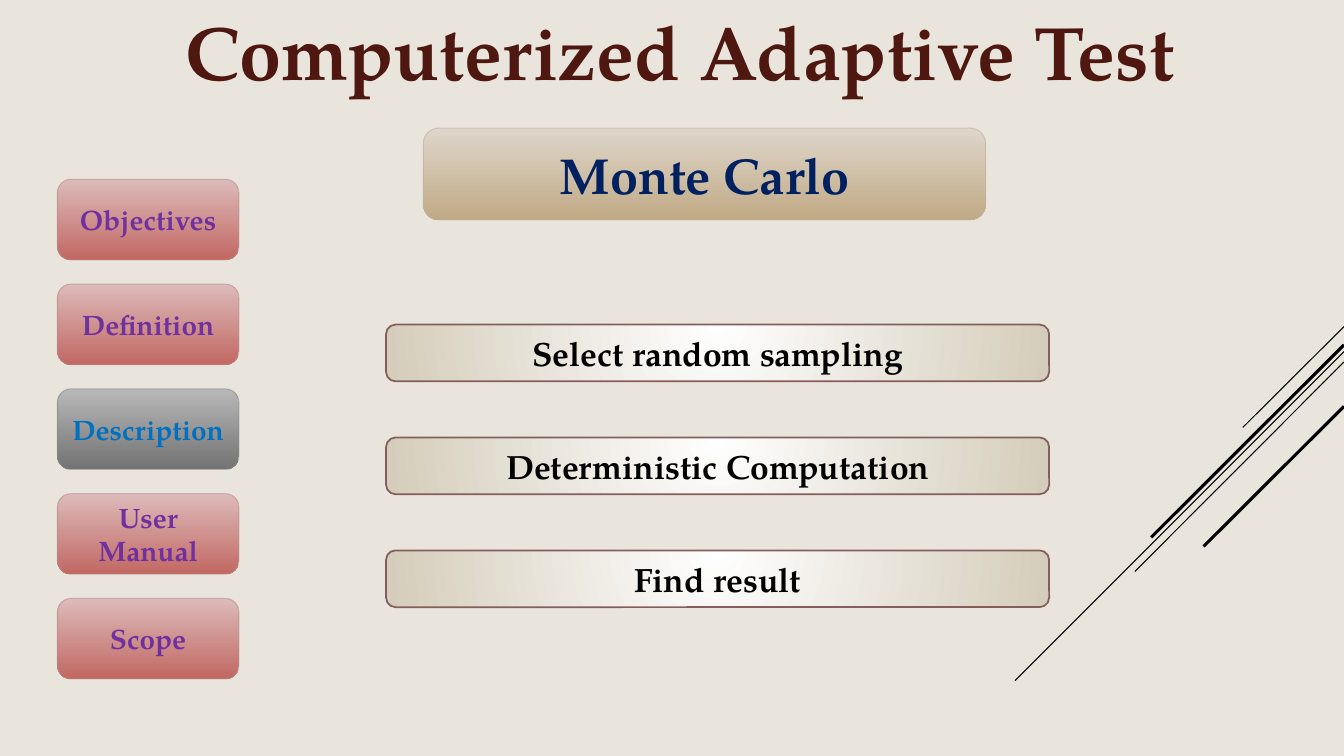
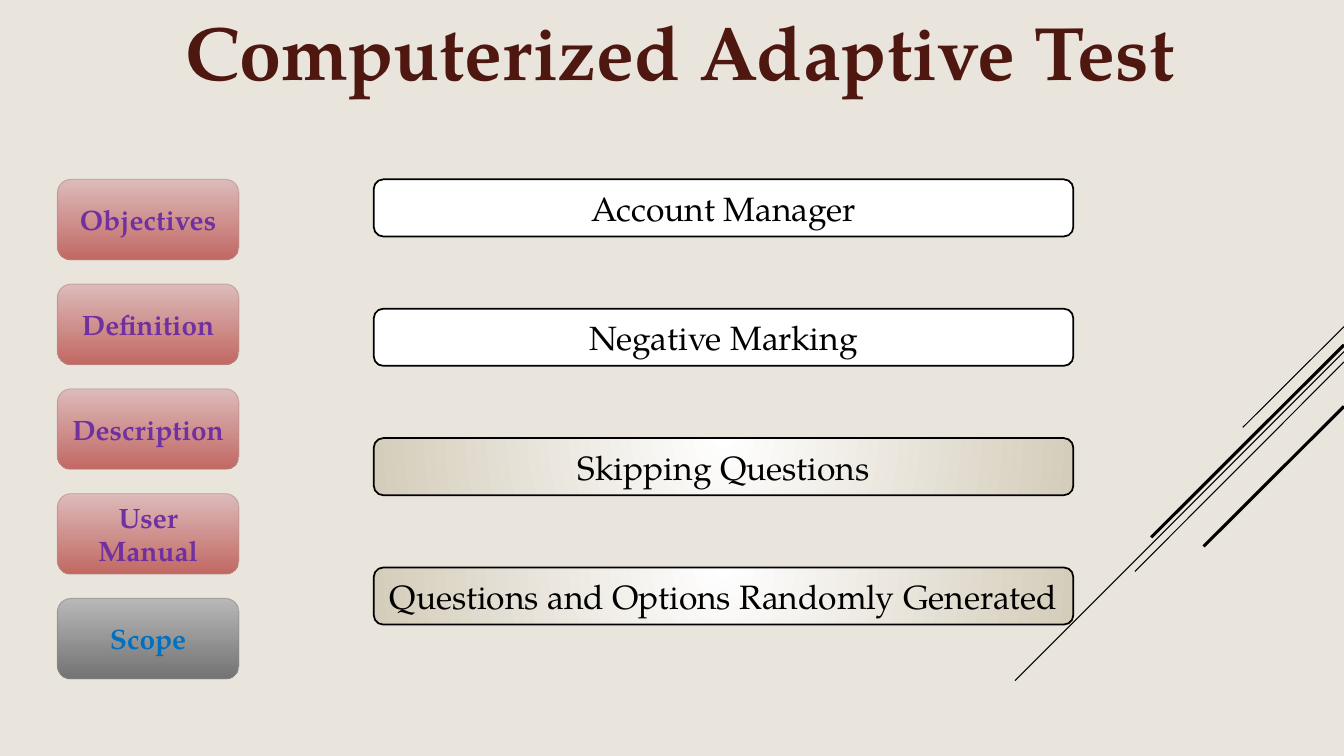
from lxml.etree import SubElement
from pptx import Presentation
from pptx.enum.shapes import MSO_CONNECTOR, MSO_SHAPE
from pptx.enum.text import MSO_ANCHOR, PP_ALIGN
from pptx.dml.color import RGBColor
from pptx.oxml.ns import qn
from pptx.util import Cm, Pt

FONT = "TeX Gyre Pagella"
SLIDE_WIDTH = 33.87
BLACK = "000000"
MENU = ["Objectives", "Definition", "Description", "User Manual", "Scope"]
MENU_TOP, MENU_STEP = 4.52, 2.64
RAYS = [
    (8.23, 31.32, 10.77, 0.75),
    (8.86, 25.58, 17.15, 0.75),
    (9.12, 28.60, 14.40, 0.75),
    (8.69, 29.01, 13.54, 2.25),
    (10.24, 30.33, 13.77, 2.25),
]

# Style: fill colours, radial, outline, outline width, translucent outline, text size, text colour, bold
STYLES = {
    "menu": (["DCBBBA", "C26863"], False, "BA8C8B", 0.75, True, 20, "7030A0", True),
    "current": (["B8B8B8", "737373"], False, "898989", 0.75, True, 20, "0070C0", True),
    "heading": (["DFD6CA", "C0AA86"], False, "BEB1A0", 0.75, True, 36, "002060", True),
    "step": (["FFFFFF", "D5CDBB"], True, "855D5D", 1.25, False, 24, BLACK, True),
    "plain": (["FFFFFF"], False, BLACK, 1.25, False, 24, BLACK, False),
    "shaded": (["FFFFFF", "D5CDBB"], True, BLACK, 1.25, False, 24, BLACK, False),
}

STEPS = ["Select random sampling", "Deterministic Computation", "Find result"]
FEATURES = [
    ("Account Manager", "plain"),
    ("Negative Marking", "plain"),
    ("Skipping Questions", "shaded"),
    ("Questions and Options Randomly Generated", "shaded"),
]
PAGES = [
    ("Description",
     [("Monte Carlo", "heading", 10.67, 3.23, 14.17, 2.31)]
     + [(text, "step", 9.73, 8.18 + 2.845 * row, 16.71, 1.43)
        for row, text in enumerate(STEPS)]),
    ("Scope",
     [(text, style, 9.42, 4.52 + 3.26 * row, 17.63, 1.44)
      for row, (text, style) in enumerate(FEATURES)]),
]


def paint(fill, *colours):
    if len(colours) == 1:
        fill.solid()
        fill.fore_color.rgb = RGBColor.from_string(colours[0])
        return
    fill.gradient()
    fill.gradient_angle = 270
    for stop, position, colour in zip(fill.gradient_stops, (0, 1), colours):
        stop.position = position
        stop.color.rgb = RGBColor.from_string(colour)


def write(frame, text, size, colour, bold):
    frame.word_wrap = True
    para = frame.paragraphs[0]
    span = para.add_run()
    span.text = text
    span.font.name = FONT
    span.font.size = Pt(size)
    span.font.bold = bold
    paint(span.font.fill, colour)
    return para


deck = Presentation()
deck.slide_width, deck.slide_height = Cm(SLIDE_WIDTH), Cm(19.05)
paint(deck.slide_master.background.fill, "E9E5DC")

for current, content in PAGES:
    page = deck.slides.add_slide(deck.slide_layouts[6])

    for start_y, end_x, end_y, width in RAYS:
        ray = page.shapes.add_connector(
            MSO_CONNECTOR.STRAIGHT, Cm(SLIDE_WIDTH), Cm(start_y), Cm(end_x), Cm(end_y))
        ray.line.width = Pt(width)
        paint(ray.line.fill, BLACK)
        SubElement(ray._element.spPr, qn("a:effectLst"))

    title = page.shapes.add_textbox(Cm(4.42), Cm(0), Cm(29.44), Cm(2.57))
    write(title.text_frame, "Computerized Adaptive Test", 54, "4E1710", True)

    menu = [(text, "current" if text == current else "menu",
             1.45, MENU_TOP + MENU_STEP * row, 4.57, 2.03)
            for row, text in enumerate(MENU)]

    for text, style, left, top, width, height in menu + content:
        colours, radial, outline, weight, translucent, size, ink, bold = STYLES[style]
        box = page.shapes.add_shape(
            MSO_SHAPE.ROUNDED_RECTANGLE, Cm(left), Cm(top), Cm(width), Cm(height))
        box.shadow.inherit = False
        paint(box.fill, *colours)
        if radial:
            gradient = box._element.spPr.find(qn("a:gradFill"))
            gradient.remove(gradient.find(qn("a:lin")))
            circle = SubElement(gradient, qn("a:path"), path="circle")
            SubElement(circle, qn("a:fillToRect"), l="0", t="0", r="0", b="100000")
        box.line.width = Pt(weight)
        paint(box.line.fill, outline)
        if translucent:
            line_colour = box._element.spPr.find(qn("a:ln")).find(".//" + qn("a:srgbClr"))
            SubElement(line_colour, qn("a:alpha"), val="60000")
        box.text_frame.vertical_anchor = MSO_ANCHOR.MIDDLE
        write(box.text_frame, text, size, ink, bold).alignment = PP_ALIGN.CENTER

deck.save("out.pptx")
